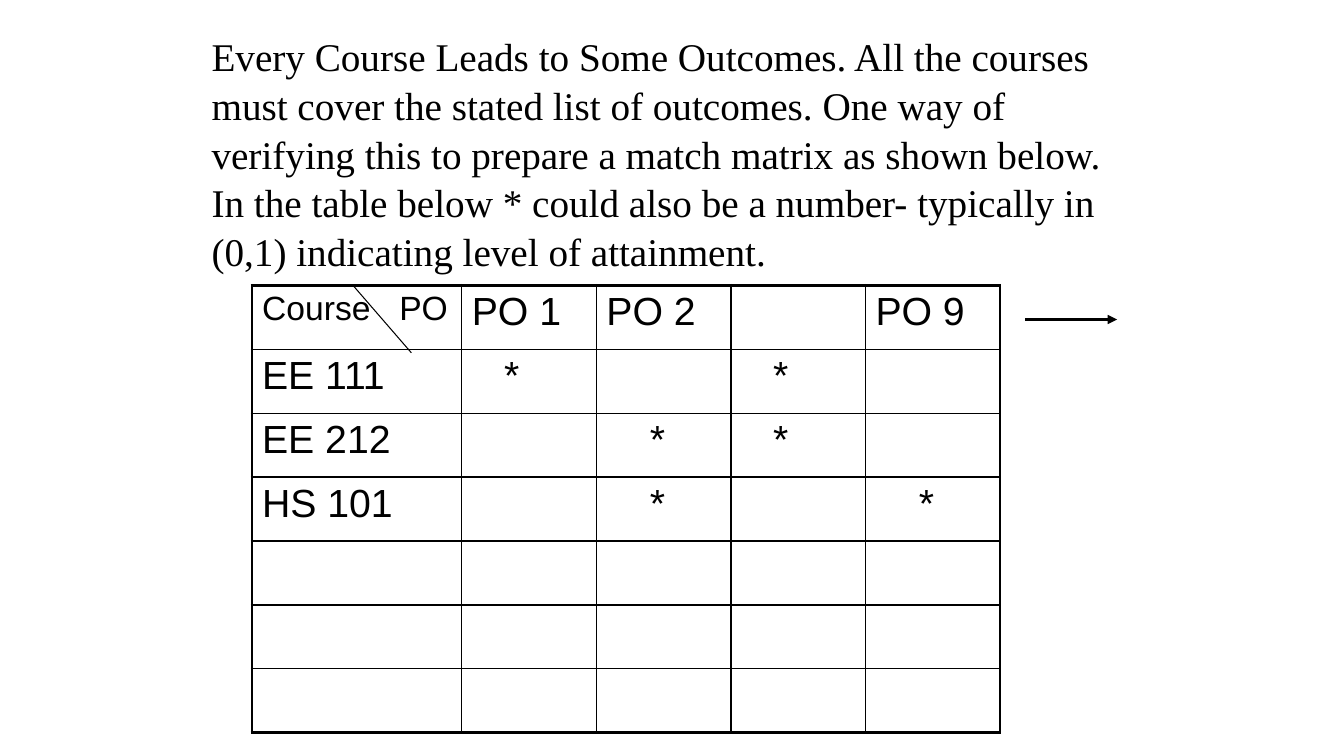
from dataclasses import dataclass

from lxml import etree
from pptx import Presentation
from pptx import util as u
from pptx.dml.color import RGBColor
from pptx.enum import shapes
from pptx.oxml.ns import qn


@dataclass(frozen=True)
class Theme:
    ink: str = "000000"
    serif: str = "Times New Roman"
    sans: str = "Arial"
    text_size: float = 28
    corner_size: float = 24
    thin: float = 1
    thick: float = 2.25
    hairline: float = 0.75


theme = Theme()
ink = RGBColor.from_string(theme.ink)


def set_font(para, name, size):
    para.font.name = name
    para.font.size = u.Pt(size)
    para.font.color.rgb = ink


def add_line(page, start, end, width):
    ends = [u.Inches(value) for value in start + end]
    line = page.shapes.add_connector(shapes.MSO_CONNECTOR.STRAIGHT, *ends)
    line.line.color.rgb = ink
    line.line.width = u.Pt(width)
    etree.SubElement(line._element.spPr, qn("a:effectLst"))
    return line


deck = Presentation()
deck.slide_width = u.Inches(13.33)
deck.slide_height = u.Inches(7.5)
page = deck.slides.add_slide(deck.slide_layouts[6])

box = page.shapes.add_textbox(u.Inches(2), u.Inches(0.25), u.Inches(9.08), u.Inches(4.54))
box.text_frame.word_wrap = True
para = box.text_frame.paragraphs[0]
para.text = (
    "Every Course Leads to Some Outcomes. All the courses must cover the stated "
    "list of outcomes. One way of verifying this to prepare a match matrix as shown "
    "below. In the table below * could also be a number- typically in (0,1) "
    "indicating level of attainment."
)
para.line_spacing = 1.04
set_font(para, theme.serif, theme.text_size)

matrix = [
    ["Course\tPO", "PO 1", "PO 2", "", "PO 9"],
    ["EE 111", "*", "", "*", ""],
    ["EE 212", "", "*", "*", ""],
    ["HS 101", "", "*", "", "*"],
    [""] * 5,
    [""] * 5,
    [""] * 5,
]
column_widths = [2.08] + [1.335] * 4
star_margins = [0.1, 0.42, 0.53, 0.42, 0.53]
last_row = len(matrix) - 1
last_column = len(column_widths) - 1

table = page.shapes.add_table(
    len(matrix), len(column_widths),
    u.Inches(2.5), u.Inches(2.83), u.Inches(7.42), u.Inches(4.44),
).table
table.first_row = False
table.horz_banding = False
for column, width in zip(table.columns, column_widths):
    column.width = u.Inches(width)

for r, labels in enumerate(matrix):
    for c, label in enumerate(labels):
        cell = table.cell(r, c)
        cell.fill.background()
        if label == "*":
            cell.margin_left = u.Inches(star_margins[c])
        para = cell.text_frame.paragraphs[0]
        para.text = label
        is_corner = r == 0 and c == 0
        if is_corner:
            tabs = etree.SubElement(para._p.get_or_add_pPr(), qn("a:tabLst"))
            etree.SubElement(tabs, qn("a:tab"), pos=str(u.Inches(1.36)), algn="l")
        set_font(para, theme.sans, theme.corner_size if is_corner else theme.text_size)

        outer_edges = {"lnL": c == 0, "lnR": c == last_column, "lnT": r == 0, "lnB": r == last_row}
        for place, (edge, is_outer) in enumerate(outer_edges.items()):
            width = u.Pt(theme.thick if is_outer else theme.thin)
            border = etree.Element(qn(f"a:{edge}"), w=str(width))
            fill = etree.SubElement(border, qn("a:solidFill"))
            etree.SubElement(fill, qn("a:srgbClr"), val=theme.ink)
            cell._tc.get_or_add_tcPr().insert(place, border)

add_line(page, (3.5, 2.83), (4.08, 3.5), theme.hairline)
arrow = add_line(page, (10.17, 3.17), (11.08, 3.17), theme.thick)
etree.SubElement(arrow.line._get_or_add_ln(), qn("a:tailEnd"), type="triangle")

deck.save("out.pptx")
